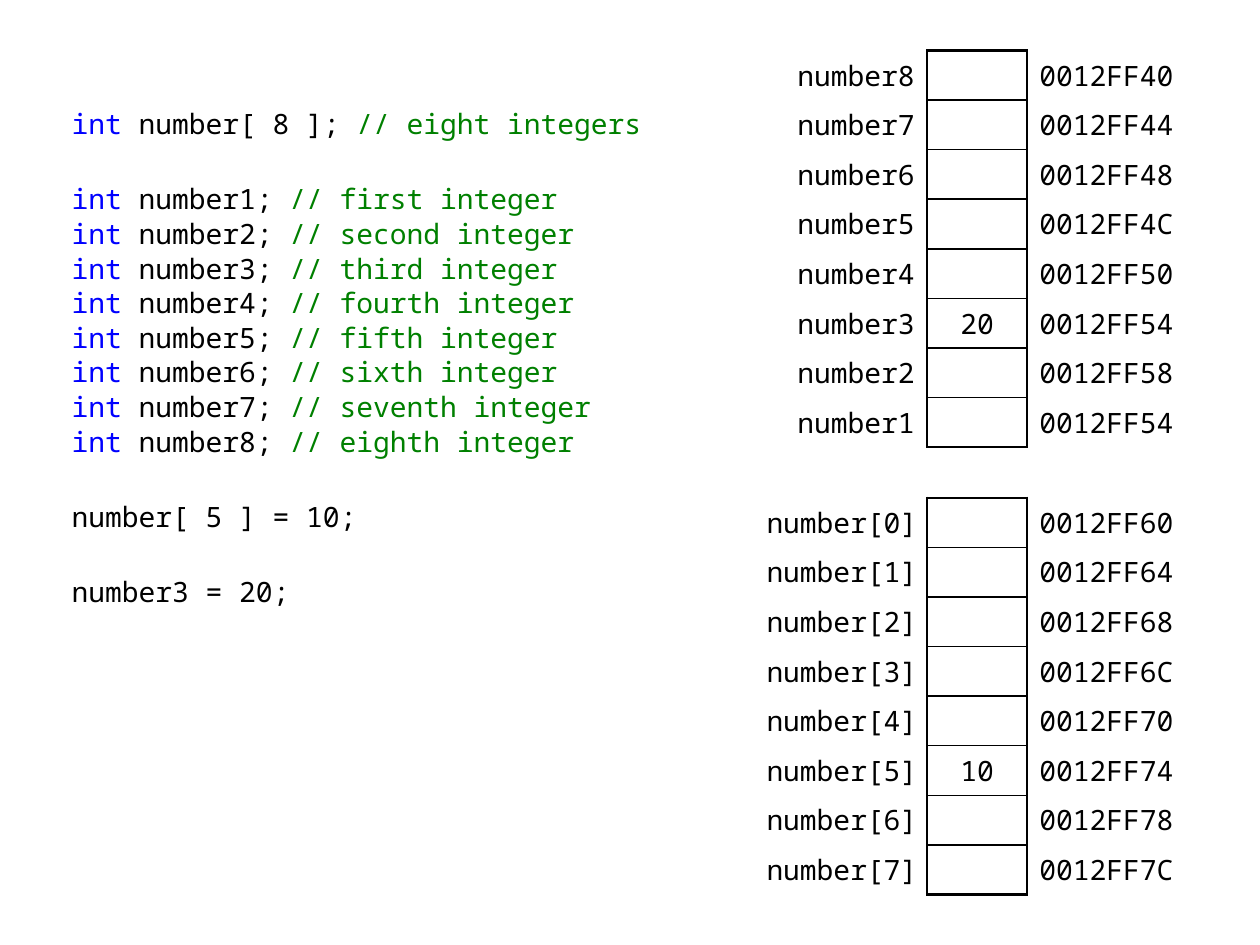
from dataclasses import dataclass

from lxml.etree import SubElement
from pptx import Presentation
from pptx.dml.color import RGBColor as RGB
from pptx.enum.text import MSO_ANCHOR as Anchor, PP_ALIGN as Align
from pptx.oxml.ns import qn
from pptx.util import Inches, Pt


@dataclass(frozen=True)
class Theme:
    font: str = "Noto Sans Mono"
    size: float = 16
    text: str = "000000"
    keyword: str = "0000FF"
    comment: str = "008000"
    frame: float = 1.5
    divider: float = 1
    line_gap: float = 0.6
    blank_line: float = 23
    no_grid: str = "{2D5ABB26-0587-4C30-8999-92F81FD0307C}"


def set_values(target, values):
    for name, value in values.items():
        setattr(target, name, value)


class SlideBuilder:
    def __init__(self, slide, theme):
        self.slide = slide
        self.theme = theme

    def add_run(self, paragraph, text, color):
        run = paragraph.add_run()
        run.text = text
        set_values(run.font, {"name": self.theme.font, "size": Pt(self.theme.size)})
        run.font.color.rgb = RGB.from_string(color)

    def add_code(self, left, top, width, height, blocks):
        """Write blocks of lines, each line a list of (text, color) pieces."""
        shape = self.slide.shapes.add_textbox(
            Inches(left), Inches(top), Inches(width), Inches(height))
        frame = shape.text_frame
        frame.word_wrap = True
        paragraph = frame.paragraphs[0]
        for block_index, block in enumerate(blocks):
            for line_index, line in enumerate(block):
                if block_index or line_index:
                    paragraph = frame.add_paragraph()
                    gap = self.theme.line_gap
                    if line_index == 0:
                        gap += self.theme.blank_line - self.theme.line_gap
                        gap += self.theme.line_gap
                    paragraph.space_before = Pt(gap)
                for text, color in line:
                    self.add_run(paragraph, text, color)

    def add_border(self, cell, side, width):
        line = SubElement(cell._tc.get_or_add_tcPr(), qn(f"a:ln{side}"),
                          w=str(Pt(width)))
        fill = SubElement(line, qn("a:solidFill"))
        SubElement(fill, qn("a:srgbClr"), val=self.theme.text)

    def add_memory(self, left, top, widths, height, rows, label_margin):
        """Draw memory cells as rows of label, value and address."""
        table = self.slide.shapes.add_table(
            len(rows), len(widths), Inches(left), Inches(top),
            Inches(sum(widths)), Inches(height)).table
        set_values(table, {"first_row": False, "horz_banding": False})
        table._tbl.tblPr.find(qn("a:tableStyleId")).text = self.theme.no_grid
        for column, width in zip(table.columns, widths):
            column.width = Inches(width)

        frame, divider = self.theme.frame, self.theme.divider
        alignments = (Align.RIGHT, Align.CENTER, Align.LEFT)
        margins = (label_margin, 0.1, 0.08)
        last = len(rows) - 1
        for row_index, row in enumerate(rows):
            table.rows[row_index].height = Inches(height / len(rows))
            borders = (
                {"R": frame},
                {"L": frame, "R": frame,
                 "T": divider if row_index else frame,
                 "B": divider if row_index < last else frame},
                {"L": frame},
            )
            for column_index, text in enumerate(row):
                cell = table.cell(row_index, column_index)
                set_values(cell, {
                    "vertical_anchor": Anchor.MIDDLE,
                    "margin_left": Inches(0.1),
                    "margin_right": Inches(margins[column_index]),
                    "margin_top": Inches(0.04),
                    "margin_bottom": Inches(0.04),
                })
                for side, width in borders[column_index].items():
                    self.add_border(cell, side, width)
                cell.fill.background()
                paragraph = cell.text_frame.paragraphs[0]
                paragraph.alignment = alignments[column_index]
                if text:
                    self.add_run(paragraph, text, self.theme.text)


def declaration(theme, name, comment):
    return [("int", theme.keyword), (f" {name}; ", theme.text),
            (f"// {comment}", theme.comment)]


def memory_rows(labels, addresses, values):
    return [(label, values.get(label, ""), f"0012FF{address}")
            for label, address in zip(labels, addresses)]


def main():
    presentation = Presentation()
    set_values(presentation, {"slide_width": Inches(10), "slide_height": Inches(7.5)})
    slide = presentation.slides.add_slide(presentation.slide_layouts[6])
    theme = Theme()
    builder = SlideBuilder(slide, theme)

    ordinals = ("first", "second", "third", "fourth",
                "fifth", "sixth", "seventh", "eighth")
    builder.add_code(0.47, 0.8, 4.92, 4.53, [
        [declaration(theme, "number[ 8 ]", "eight integers")],
        [declaration(theme, f"number{index}", f"{ordinal} integer")
         for index, ordinal in enumerate(ordinals, 1)],
        [[("number[ 5 ] = 10;", theme.text)]],
        [[("number3 = 20;", theme.text)]],
    ])

    array_rows = memory_rows(
        [f"number[{index}]" for index in range(8)],
        "60 64 68 6C 70 74 78 7C".split(), {"number[5]": "10"})
    builder.add_memory(5.79, 3.95, (1.57, 0.79, 1.38), 3.15, array_rows, 0.08)

    variable_rows = memory_rows(
        [f"number{index}" for index in range(8, 0, -1)],
        "40 44 48 4C 50 54 58 54".split(), {"number3": "20"})
    builder.add_memory(6.18, 0.4, (1.18, 0.79, 1.38), 3.15, variable_rows, 0.1)

    presentation.save("out.pptx")


if __name__ == "__main__":
    main()
